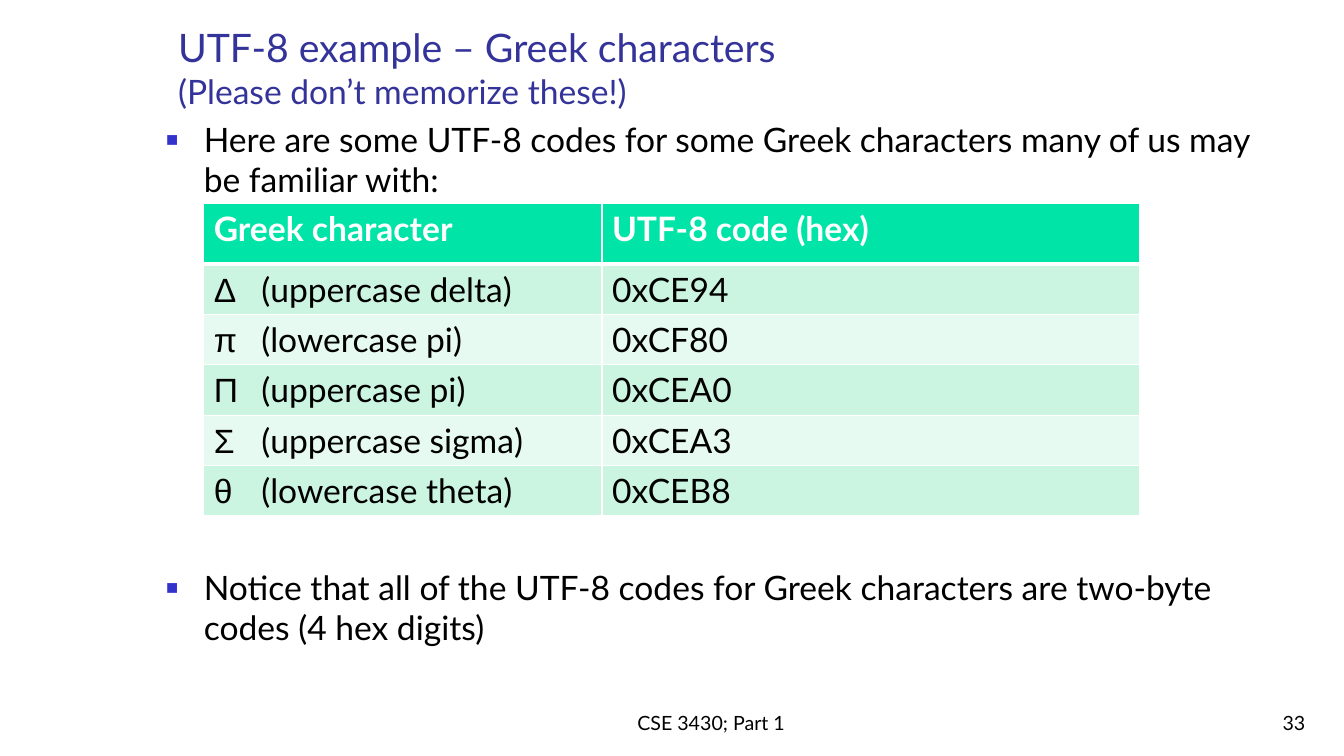
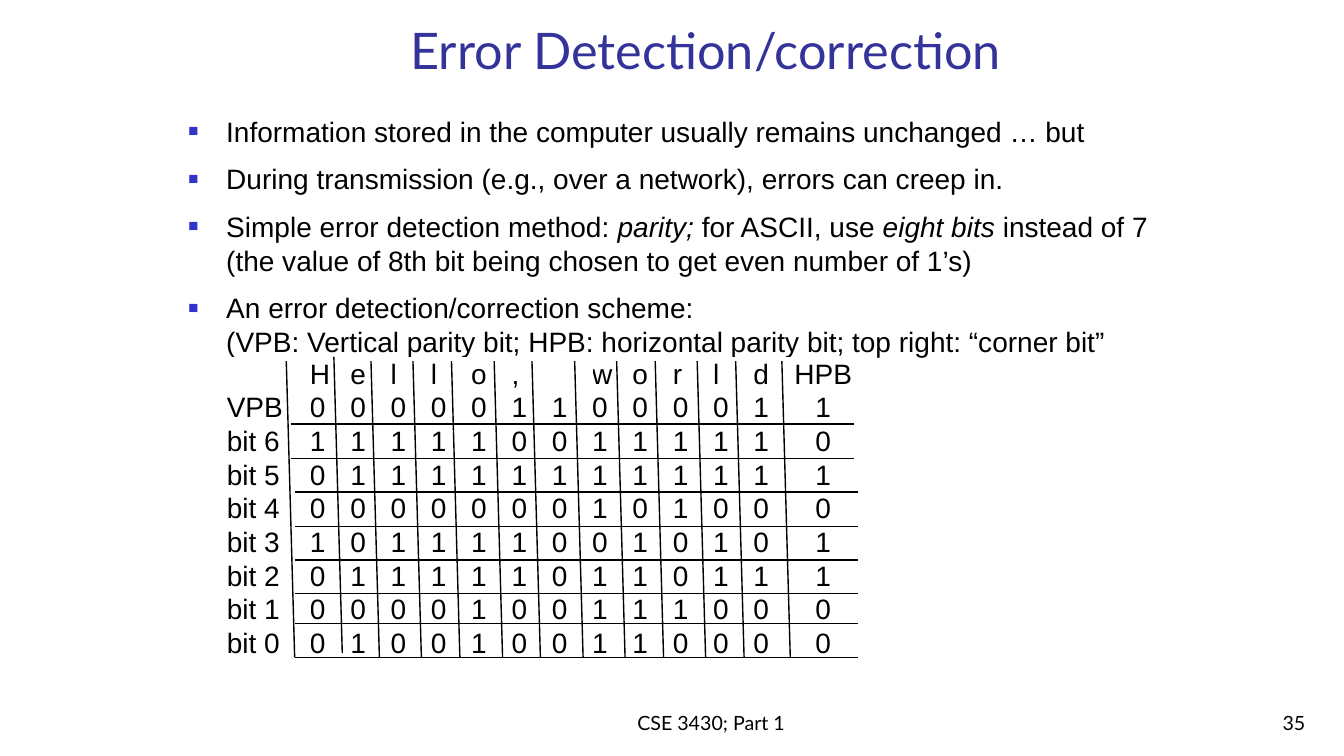
from lxml.etree import SubElement
from pptx import Presentation
from pptx.dml.color import RGBColor
from pptx.enum.shapes import MSO_CONNECTOR
from pptx.enum.text import MSO_ANCHOR as ANCHOR, MSO_AUTO_SIZE, PP_ALIGN as ALIGN
from pptx.oxml.ns import qn
from pptx.util import Pt

COLORS = {
    "title": "333399",
    "bullet": "3333CC",
    "text": "000000",
    "white": "FFFFFF",
    "header": "00E4A8",
    "odd": "CCF5E1",
    "even": "E7FAF1",
}
SANS, HEADING = "Arial", "Lato"
INDENT = 27

GREEK = [
    ("Δ", "(uppercase delta)", "0xCE94"),
    ("π", "(lowercase pi)", "0xCF80"),
    ("Π", "(uppercase pi)", "0xCEA0"),
    ("Σ", "(uppercase sigma)", "0xCEA3"),
    ("θ", "(lowercase theta)", "0xCEB8"),
]
PARITY = {
    "VPB": "0000011000011",
    "bit 6": "1111100111110",
    "bit 5": "0111111111111",
    "bit 4": "0000000101000",
    "bit 3": "1011110010101",
    "bit 2": "0111110110111",
    "bit 1": "0000100111000",
    "bit 0": "0100100110000",
}


def rgb(name):
    return RGBColor.from_string(COLORS[name])


def add_child(parent, tag, **attributes):
    return SubElement(parent, qn(tag), attributes)


def add_bullet(paragraph):
    props = paragraph._p.get_or_add_pPr()
    props.set("marL", str(Pt(INDENT)))
    props.set("indent", str(Pt(-INDENT)))
    add_child(add_child(props, "a:buClr"), "a:srgbClr", val=COLORS["bullet"])
    add_child(props, "a:buSzPct", val="60000")
    add_child(props, "a:buFont", typeface=SANS)
    add_child(props, "a:buChar", char="■")


def add_tab(paragraph, position):
    tabs = add_child(paragraph._p.get_or_add_pPr(), "a:tabLst")
    add_child(tabs, "a:tab", pos=str(Pt(position)), algn="l")


def add_borders(cell, bottom):
    props = cell._tc.get_or_add_tcPr()
    for side, width in (("L", 1), ("R", 1), ("T", 1), ("B", bottom)):
        line = add_child(props, f"a:ln{side}", w=str(Pt(width)))
        add_child(add_child(line, "a:solidFill"), "a:srgbClr", val=COLORS["white"])


def write(paragraph, parts, size, font=HEADING, color="text", align=ALIGN.LEFT, bold=False):
    """Fill a paragraph from strings or (string, font settings) pairs; a newline breaks the line."""
    paragraph.alignment = align
    base = paragraph.font
    base.size, base.name, base.bold = Pt(size), font, bold
    base.color.rgb = rgb(color)
    for part in [parts] if isinstance(parts, str) else parts:
        text, settings = (part, {}) if isinstance(part, str) else part
        for number, line in enumerate(text.split("\n")):
            if number:
                paragraph.add_line_break()
            if line:
                run = paragraph.add_run()
                run.text = line
                for key, value in settings.items():
                    setattr(run.font, key, value)


class Deck:
    def __init__(self):
        self.prs = Presentation()
        self.prs.slide_width, self.prs.slide_height = Pt(960), Pt(540)
        self.slide = None

    def new_slide(self, number, title, box, size, align=ALIGN.LEFT):
        self.slide = self.prs.slides.add_slide(self.prs.slide_layouts[5])
        heading = self.slide.shapes.title
        heading.left, heading.top, heading.width, heading.height = map(Pt, box)
        frame = heading.text_frame
        frame.auto_size = MSO_AUTO_SIZE.NONE
        frame.vertical_anchor = ANCHOR.BOTTOM
        write(frame.paragraphs[0], title, size, color="title", align=align)
        self.footer("CSE 3430; Part 1", (238, 491, 540, 37), ALIGN.CENTER)
        self.footer(str(number), (739.5, 492, 200, 36), ALIGN.RIGHT)

    def text_frame(self, box, anchor=ANCHOR.TOP):
        frame = self.slide.shapes.add_textbox(*map(Pt, box)).text_frame
        frame.word_wrap = True
        frame.vertical_anchor = anchor
        return frame

    def footer(self, text, box, align):
        write(self.text_frame(box, ANCHOR.BOTTOM).paragraphs[0], text, 14, align=align)

    def bullets(self, items, box, size, font=HEADING, line_height=None, gap=0):
        frame = self.text_frame(box)
        for number, item in enumerate(items):
            paragraph = frame.add_paragraph() if number else frame.paragraphs[0]
            add_bullet(paragraph)
            paragraph.space_after = Pt(gap)
            if line_height:
                paragraph.line_spacing = Pt(line_height)
            write(paragraph, item, size, font)

    def table(self, left, top, widths, heights):
        frame = self.slide.shapes.add_table(
            len(heights), len(widths), Pt(left), Pt(top), Pt(sum(widths)), Pt(sum(heights)))
        table = frame.table
        table.first_row = table.horz_banding = False
        for column, width in zip(table.columns, widths):
            column.width = Pt(width)
        for row, height in zip(table.rows, heights):
            row.height = Pt(height)
        return table

    def code_table(self, header, rows):
        table = self.table(145.5, 145.5, [284.5, 384], [43] + [36] * len(rows))
        contents = [header] + [
            ([(f"{letter}\t", {"name": SANS}), name], code) for letter, name, code in rows]
        for r, content in enumerate(contents):
            is_header = r == 0
            fill = "header" if is_header else "odd" if r % 2 else "even"
            for c, parts in enumerate(content):
                cell = table.cell(r, c)
                add_borders(cell, 3 if is_header else 1)
                cell.fill.solid()
                cell.fill.fore_color.rgb = rgb(fill)
                paragraph = cell.text_frame.paragraphs[0]
                if c == 0 and not is_header:
                    add_tab(paragraph, 34)
                write(paragraph, parts, 24, color="white" if is_header else "text",
                      bold=is_header)

    def bit_table(self, rows):
        last = len(rows[0]) - 1
        table = self.table(162, 255.5, [59.4] + [28.8] * (last - 1) + [42], [24] * len(rows))
        for r, row in enumerate(rows):
            for c, text in enumerate(row):
                cell = table.cell(r, c)
                cell.fill.background()
                cell.margin_left = cell.margin_right = cell.margin_top = cell.margin_bottom = 0
                cell.vertical_anchor = ANCHOR.MIDDLE
                write(cell.text_frame.paragraphs[0], text, 20, SANS,
                      align=ALIGN.CENTER if c == last else ALIGN.LEFT)

    def line(self, x1, y1, x2, y2):
        rule = self.slide.shapes.add_connector(
            MSO_CONNECTOR.STRAIGHT, *map(Pt, (x1, y1, x2, y2)))
        rule.line.color.rgb = rgb("text")
        rule.line.width = Pt(1)
        add_child(rule._element.spPr, "a:effectLst")


def greek_slide(deck):
    deck.new_slide(
        33,
        ["UTF-8 example – Greek characters\n",
         ("(Please don’t memorize these!)", {"size": Pt(24)})],
        (120, 12, 803, 71), 28)
    deck.bullets(
        ["Here are some UTF-8 codes for some Greek characters many of us may be familiar with:"],
        (111.5, 81.5, 810, 64), 24)
    deck.code_table(("Greek character", "UTF-8 code (hex)"), GREEK)
    deck.bullets(
        ["Notice that all of the UTF-8 codes for Greek characters are two-byte codes "
         "(4 hex digits)"],
        (111.5, 401.5, 810, 66), 24)


def parity_slide(deck):
    italic = {"italic": True}
    deck.new_slide(35, "Error Detection/correction", (244, 9, 520, 51.5), 36, ALIGN.CENTER)
    deck.bullets(
        ["Information stored in the computer usually remains unchanged … but",
         "During transmission (e.g., over a network), errors can creep in.",
         ["Simple error detection method: ", ("parity; ", italic), "for ASCII, use ",
          ("eight bits ", italic),
          "instead of 7\n(the value of 8th bit being chosen to get even number of 1’s)"],
         "An error detection/correction scheme:\n"
         "(VPB: Vertical parity bit; HPB: horizontal parity bit; top right: “corner bit”"],
        (127.5, 78, 712, 180), 20, SANS, line_height=24, gap=10)

    letters = [letter.strip() for letter in "Hello, world"]
    deck.bit_table([["", *letters, "HPB"]] + [[name, *bits] for name, bits in PARITY.items()])

    for number, y in enumerate((303, 327.5, 351.5, 376, 400, 424, 445.5, 469.5)):
        left = 208 if number < 2 else 211
        deck.line(left, y, left + 402, y)
    column_rules = (204.5, 238.5, 265, 295, 322.5, 353, 380, 410.5, 440.5, 468, 498, 525.5, 558.5)
    for number, x in enumerate(column_rules):
        top = 255 if number == 1 else 258
        deck.line(x, top, x + 6, top + 211.5)


def main():
    deck = Deck()
    greek_slide(deck)
    parity_slide(deck)
    deck.prs.save("out.pptx")


if __name__ == "__main__":
    main()
